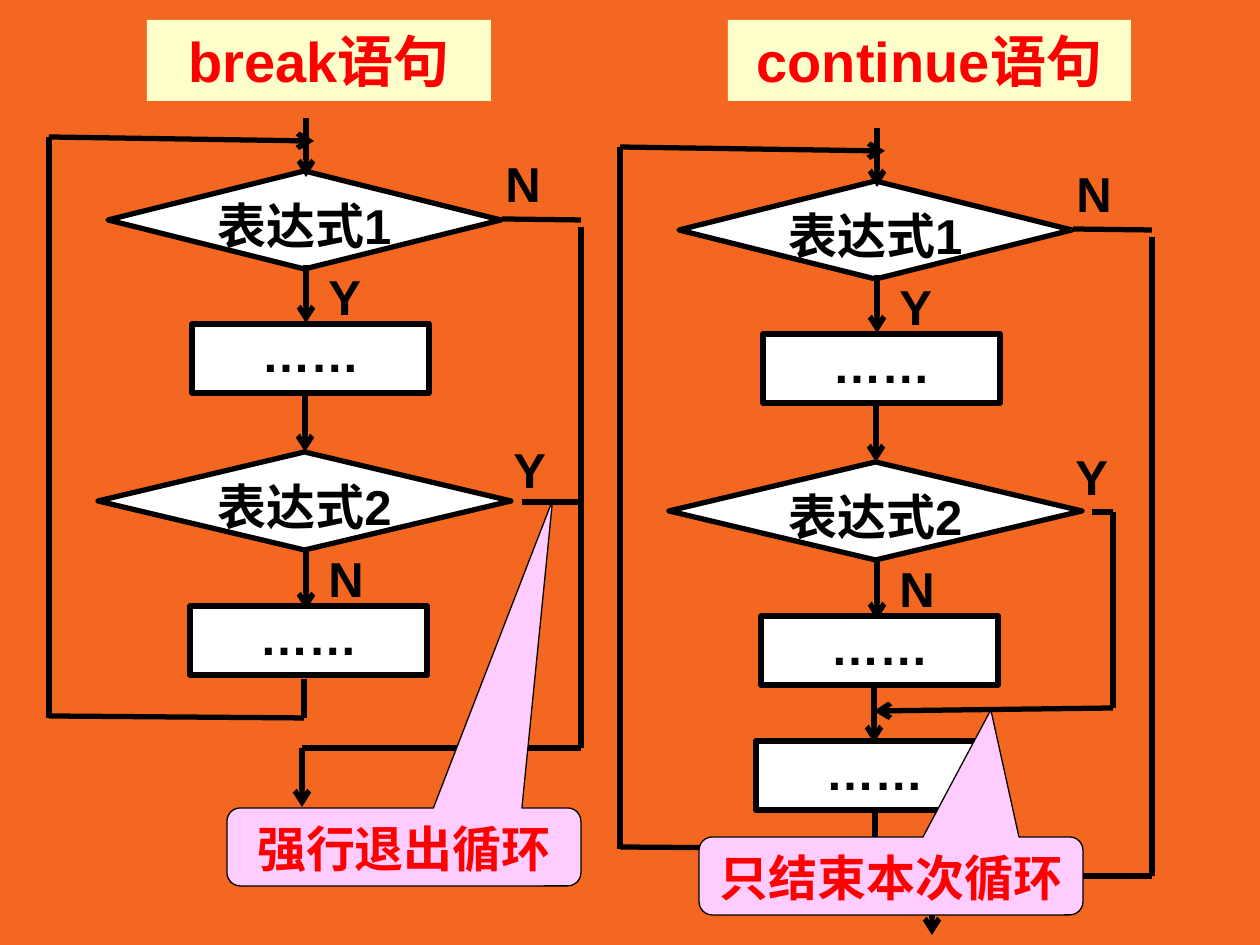
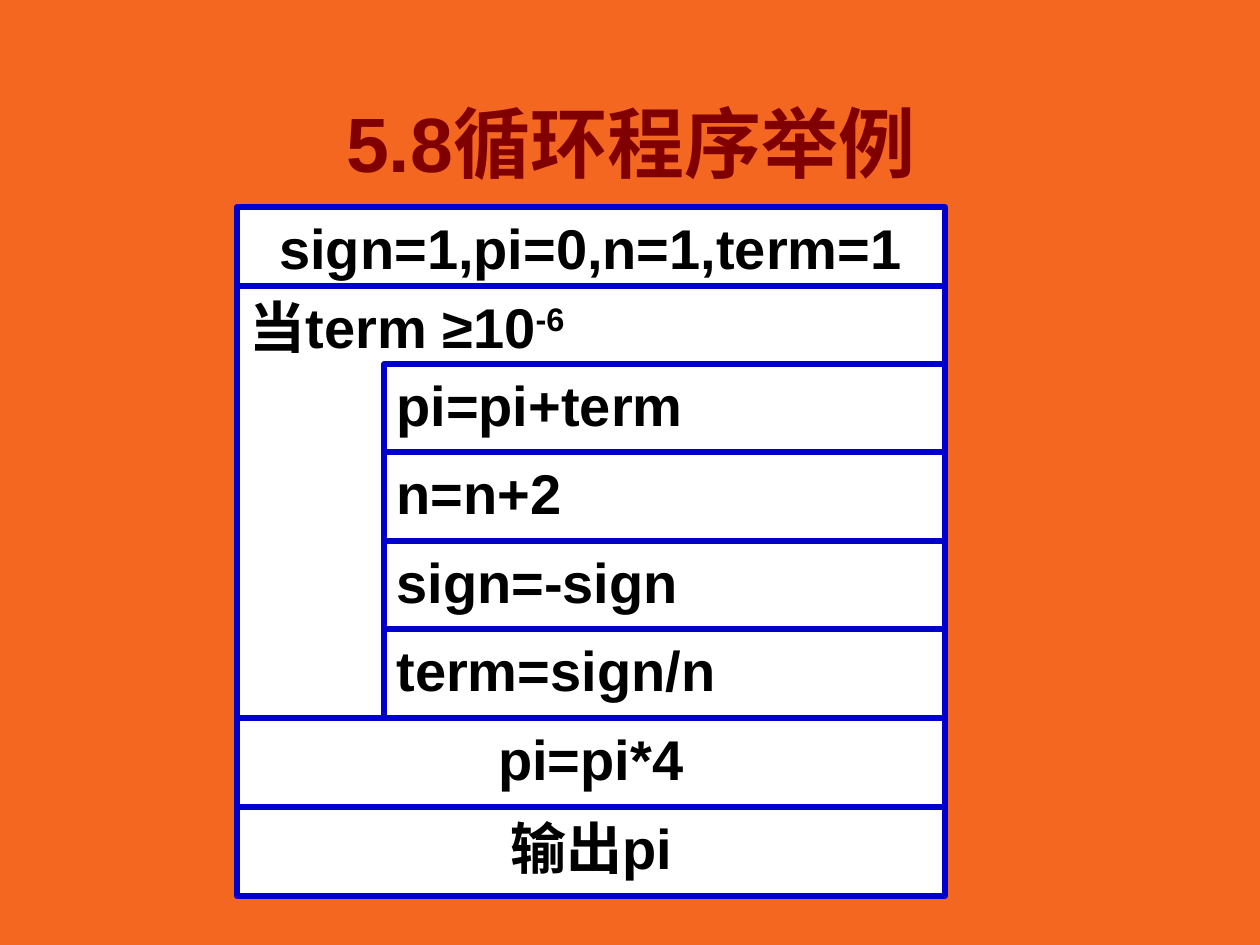
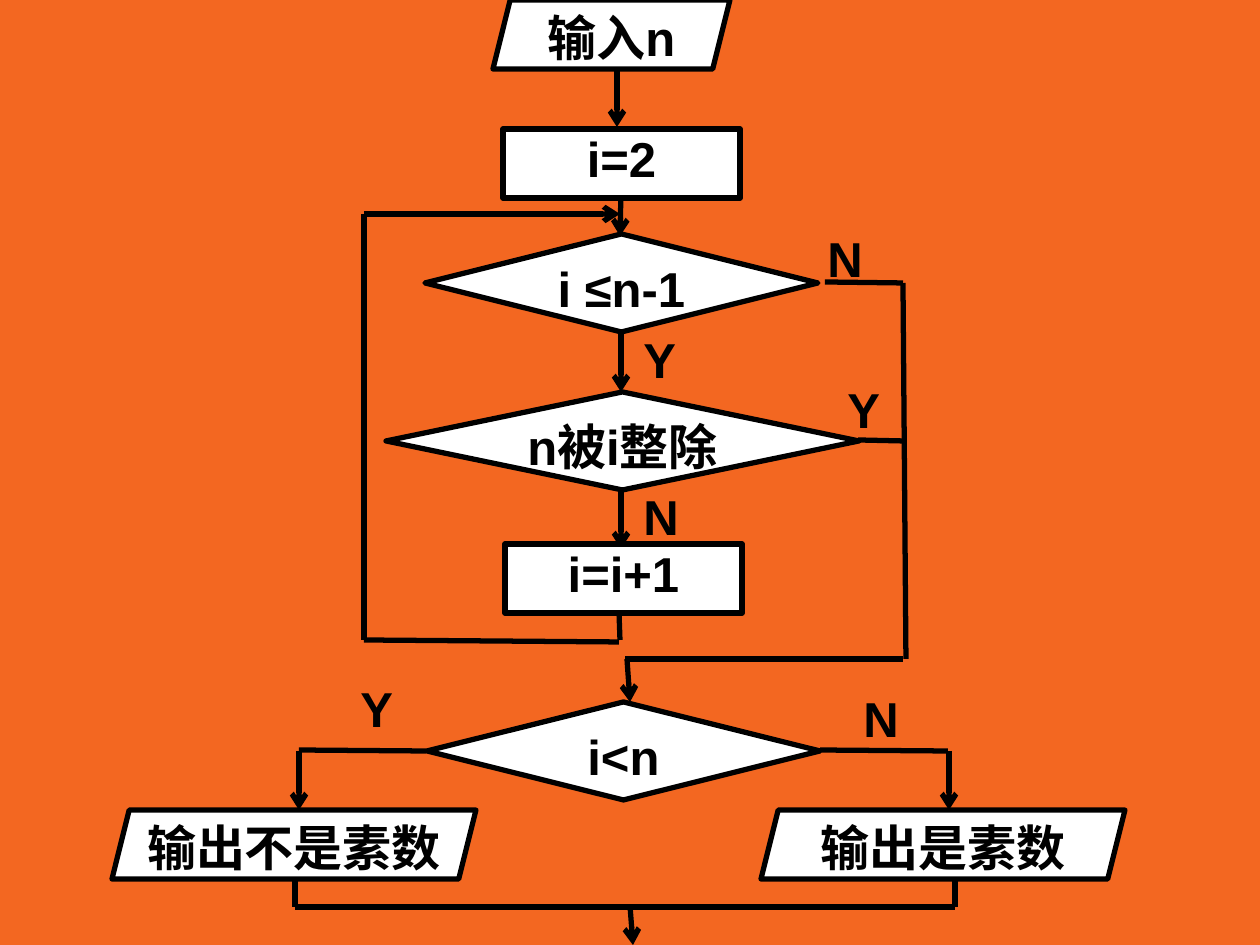
from lxml import etree
from pptx import Presentation, util as u
from pptx.dml.color import RGBColor
from pptx.enum import shapes, text
from pptx.oxml import ns

SCALE = 914400 / 126  # EMU in one px
INK = {"back": "F36721", "black": "000000", "white": "FFFFFF", "red": "FF0000",
       "cream": "FFFFCC", "pink": "FFCCFF", "blue": "0000CC", "wine": "800000",
       "gray": "DDDDDD"}
RGB = {name: RGBColor.from_string(code) for name, code in INK.items()}
KIND = shapes.MSO_SHAPE
BOX, TEST, DATA = (KIND.FLOWCHART_PROCESS, KIND.FLOWCHART_DECISION,
                   KIND.PARALLELOGRAM)
MID, LEFT = text.PP_ALIGN.CENTER, text.PP_ALIGN.LEFT


def put(kind, area, words, size=28, ink="black", fill="white", edge="black",
        thick=3, pad=None, side=MID, wrap=False):
    """Place a shape, or a text box if kind is None; a second word is raised."""
    area = [round(n * SCALE) for n in area]
    if kind is None:
        item = page.shapes.add_textbox(*area)
    else:
        item = page.shapes.add_shape(kind, *area)
        item.shadow.inherit = False
        item.fill.solid()
        item.fill.fore_color.rgb = RGB[fill]
        if edge:
            item.line.color.rgb = RGB[edge]
            item.line.width = u.Pt(thick)
        else:
            item.line.fill.background()
    frame = item.text_frame
    frame.word_wrap = wrap
    frame.vertical_anchor = text.MSO_ANCHOR.TOP
    if pad is not None:
        frame.margin_left = frame.margin_right = pad
        frame.margin_top = frame.margin_bottom = pad
    para = frame.paragraphs[0]
    para.alignment = side
    for rank, word in enumerate(words):
        run = para.add_run()
        run.text = word
        run.font.size, run.font.bold, run.font.name = u.Pt(size), True, "Arial"
        run.font.color.rgb = RGB[ink]
        if rank:
            run.font._element.set("baseline", "30000")
    return item


def wire(x1, y1, x2, y2, tip=False):
    ends = [round(n * SCALE) for n in (x1, y1, x2, y2)]
    link = page.shapes.add_connector(shapes.MSO_CONNECTOR.STRAIGHT, *ends)
    link.line.color.rgb = RGB["black"]
    link.line.width = u.Pt(3)
    if tip:
        edge = link.line._get_or_add_ln()
        etree.SubElement(edge, ns.qn("a:tailEnd"), type="arrow")
    etree.SubElement(link._element.spPr, ns.qn("a:effectLst"))


deck = Presentation()
deck.slide_width, deck.slide_height = u.Inches(10), u.Inches(7.5)
deck.slide_master.background.fill.solid()
deck.slide_master.background.fill.fore_color.rgb = RGB["back"]
blank = deck.slide_layouts[6]

# Slide 1: break and continue side by side
page = deck.slides.add_slide(blank)
put(BOX, (756, 741, 237, 69), ["……"], pad=0)
# shift of the chart, foot of the loop, foot and column of the exit
for dx, dy, foot, out, col in [(0, 0, 718, 748, 302), (571, 10, 849, 876, 932)]:
    for x, y, w, word in [(108, 171, 393, "表达式1"), (98, 452, 413, "表达式2")]:
        put(TEST, (x + dx, y + dy, w, 98), [word], pad=0)
    for x, y, end in [(306, 118, 177), (306, 265, 323), (305, 394, 452),
                      (306, 552, 610)]:
        wire(x + dx, y + dy, x + dx, end + dy, True)
    for x, y in [(192, 324), (190, 606)]:
        put(BOX, (x + dx, y + dy, 237, 69), ["……"], pad=0)
    for x, y, word in [(493, 147, "N"), (316, 260, "Y"), (316, 542, "N")]:
        put(None, (x + dx, y + dy, 69, 72), [word], side=LEFT, wrap=True)
    wire(304 + dx, foot - 39, 304 + dx, foot)
    wire(304 + dx, foot, 49 + dx, foot - 2)
    wire(49 + dx, foot, 49 + dx, 137 + dy)
    wire(49 + dx, 137 + dy, 314 + dx, 141 + dy, True)
    wire(581 + dx, 220 + dy, 502 + dx, 219 + dy)
    wire(581 + dx, 227 + dy, 581 + dx, out)
    wire(581 + dx, out, 302 + dx, out)
    wire(col, out, col, out + 59, True)

wire(581, 502, 522, 502)
wire(1113, 512, 1092, 512)
wire(1113, 512, 1113, 708)
wire(1113, 708, 874, 711, True)
wire(874, 685, 874, 743, True)
for x, y in [(501, 433), (1063, 440)]:
    put(None, (x, y, 62, 72), ["Y"], side=LEFT, wrap=True)
for x, w, word in [(147, 344, "break语句"), (728, 403, "continue语句")]:
    put(KIND.RECTANGLE, (x, 20, w, 81), [word], 32, "red", "cream", None, wrap=True)
for area, word, tip in [((227, 808, 354, 78), "强行退出循环", (0.42, -4.45)),
                        ((699, 837, 384, 78), "只结束本次循环", (0.26, -2.13))]:
    note = put(KIND.ROUNDED_RECTANGULAR_CALLOUT, area, [word], 28, "red", "pink",
               thick=0.75)
    note.adjustments[0], note.adjustments[1] = tip
    note.adjustments[2] = 0.17

# Slide 2: structure chart for pi
page = deck.slides.add_slide(blank)
title = put(None, (178, 89, 906, 106), ["5.8循环程序举例"], 44, "wine", wrap=True)
title.text_frame.vertical_anchor = text.MSO_ANCHOR.MIDDLE
glow = etree.Element(ns.qn("a:effectLst"))
shade = etree.SubElement(glow, ns.qn("a:outerShdw"), dist="35921", dir="2700000")
etree.SubElement(shade, ns.qn("a:srgbClr"), val=INK["gray"])
font = title.text_frame.paragraphs[0].runs[0].font._element
font.find(ns.qn("a:solidFill")).addnext(glow)

put(KIND.RECTANGLE, (237, 207, 708, 79), ["sign=1,pi=0,n=1,term=1"], 32, edge="blue")
put(KIND.RECTANGLE, (237, 286, 708, 433), ["当term ≥10", "-6"], 32, edge="blue",
    side=LEFT)
steps = ["pi=pi+term", "n=n+2", "sign=-sign", "term=sign/n", "pi=pi*4", "输出pi"]
for i, step in enumerate(steps):
    x, side = (384, LEFT) if i < 4 else (237, MID)
    put(BOX, (x, 364 + i * 443 // 5, 945 - x, 89), [step], 32, edge="blue", side=side)

# Slide 3: prime test
page = deck.slides.add_slide(blank)
for x, y, w, word in [(425, 234, 393, "i ≤n-1"), (386, 392, 473, "n被i整除"),
                      (427, 702, 393, "i<n")]:
    put(TEST, (x, y, w, 98), [word], pad=0)
for ends in [(627, 659, 630, 702), (364, 214, 620, 214), (621, 490, 621, 549),
             (617, 68, 617, 127), (621, 193, 620, 236), (621, 333, 621, 392),
             (299, 751, 299, 810), (949, 751, 949, 810), (630, 906, 633, 945)]:
    wire(*ends, tip=True)
for ends in [(903, 283, 906, 659), (903, 659, 625, 659), (903, 283, 825, 282),
             (619, 642, 364, 640), (364, 640, 364, 214), (619, 612, 620, 640),
             (906, 441, 858, 440), (426, 751, 299, 750), (948, 751, 820, 750),
             (295, 878, 295, 907), (955, 907, 295, 907), (955, 878, 955, 907)]:
    wire(*ends)
for kind, x, y, w, word in [(DATA, 493, 0, 237, "输入n"), (BOX, 503, 129, 237, "i=2"),
                            (BOX, 505, 544, 237, "i=i+1"),
                            (DATA, 112, 810, 364, "输出不是素数"),
                            (DATA, 761, 810, 364, "输出是素数")]:
    put(kind, (x, y, w, 69), [word], pad=0)
for x, y, word in [(815, 222, "N"), (631, 323, "Y"), (835, 373, "Y"), (631, 480, "N"),
                   (348, 672, "Y"), (851, 682, "N")]:
    put(None, (x, y, 69, 72), [word], side=LEFT, wrap=True)

deck.save("out.pptx")
